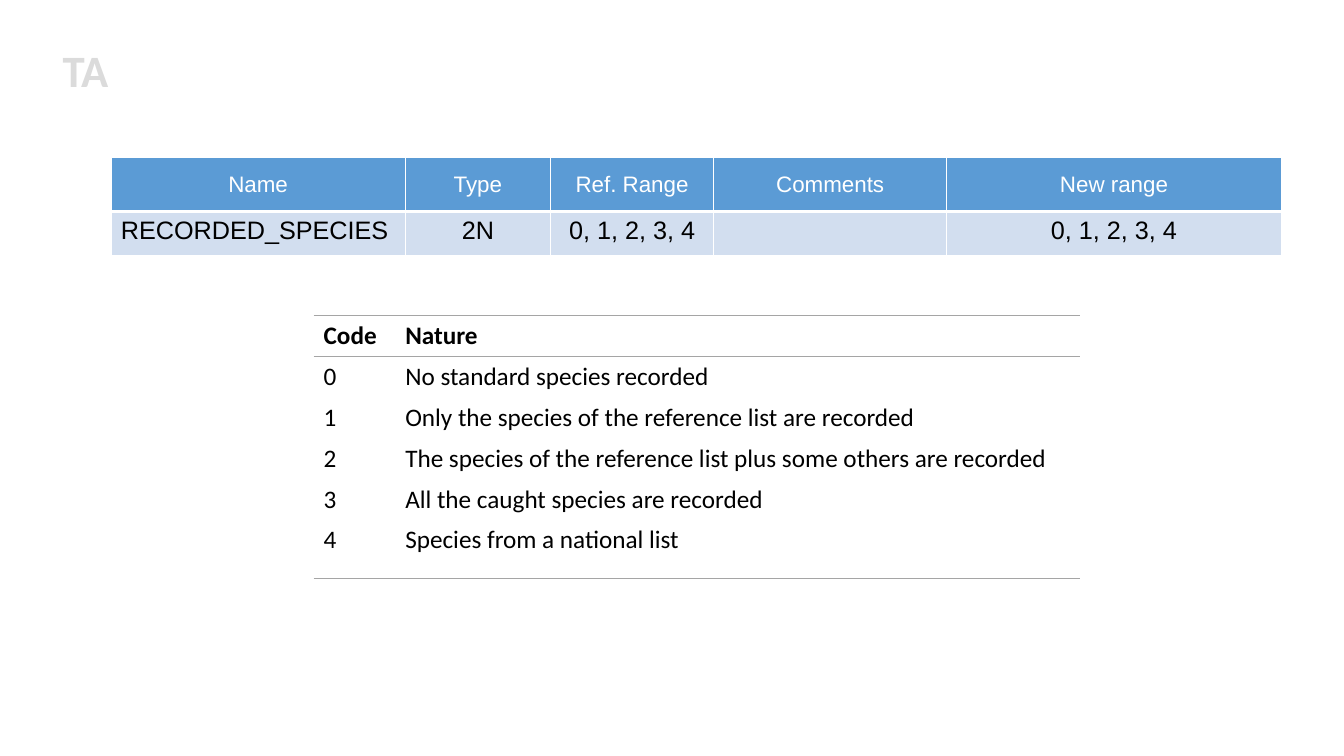
"""Build the slide with the recorded species field and its code list."""
import pptx
import pptx.dml.color
import pptx.enum.text
import pptx.oxml.ns
import pptx.util
from lxml import etree
from pptx.util import Inches, Pt

RGBColor = pptx.dml.color.RGBColor
PP_ALIGN = pptx.enum.text.PP_ALIGN
MSO_ANCHOR = pptx.enum.text.MSO_ANCHOR

WHITE = RGBColor(0xFF, 0xFF, 0xFF)
BLACK = RGBColor(0x00, 0x00, 0x00)
BLUE = RGBColor(0x5B, 0x9B, 0xD5)
PALE_BLUE = RGBColor(0xD2, 0xDE, 0xEF)
GRAY = RGBColor(0xA5, 0xA5, 0xA5)
LIGHT_GRAY = RGBColor(0xDB, 0xDB, 0xDB)

FIELD_ROWS = [
    ["Name", "Type", "Ref. Range", "Comments", "New range"],
    ["RECORDED_SPECIES", "2N", "0, 1, 2, 3, 4", "", "0, 1, 2, 3, 4"],
]
CODE_ROWS = [
    ["Code", "Nature"],
    ["0", "No standard species recorded"],
    ["1", "Only the species of the reference list are recorded"],
    ["2", "The species of the reference list plus some others are recorded"],
    ["3", "All the caught species are recorded"],
    ["4", "Species from a national list"],
]


def add_plain_table(slide, rows, left, top, widths, heights):
    frame = slide.shapes.add_table(
        len(rows), len(widths), Inches(left), Inches(top),
        Inches(sum(widths)), Inches(sum(heights)))
    table = frame.table
    table.first_row = False
    table.horz_banding = False
    for column, width in zip(table.columns, widths):
        column.width = Inches(width)
    for row, height, texts in zip(table.rows, heights, rows):
        row.height = Inches(height)
        for cell, text in zip(row.cells, texts):
            cell.text_frame.text = text
    return table


def format_cell(cell, font_name, size, color, bold, borders):
    for paragraph in cell.text_frame.paragraphs:
        for run in paragraph.runs:
            run.font.name = font_name
            run.font.size = Pt(size)
            run.font.color.rgb = color
            run.font.bold = bold
    qn = pptx.oxml.ns.qn
    properties = cell._tc.get_or_add_tcPr()
    for side in "LRTB":
        line = etree.SubElement(properties, qn(f"a:ln{side}"))
        if side in borders:
            line_color, width = borders[side]
            line.set("w", str(Pt(width)))
            fill = etree.SubElement(line, qn("a:solidFill"))
            etree.SubElement(fill, qn("a:srgbClr"), val=str(line_color))
        else:
            etree.SubElement(line, qn("a:noFill"))


presentation = pptx.Presentation()
presentation.slide_width = Inches(13.33)
presentation.slide_height = Inches(7.5)
slide = presentation.slides.add_slide(presentation.slide_layouts[5])

title = slide.shapes.title
title.left, title.top = Inches(0.52), Inches(0.37)
title.width, title.height = Inches(0.88), Inches(0.64)
title.text_frame.text = "TA"
title.text_frame.word_wrap = False
title.text_frame.auto_size = pptx.enum.text.MSO_AUTO_SIZE.NONE
title.text_frame.vertical_anchor = MSO_ANCHOR.TOP
title_paragraph = title.text_frame.paragraphs[0]
title_paragraph.alignment = PP_ALIGN.LEFT
title_font = title_paragraph.runs[0].font
title_font.name = "Calibri"
title_font.size = Pt(32)
title_font.bold = True
title_font.color.rgb = LIGHT_GRAY

field_table = add_plain_table(
    slide, FIELD_ROWS, 1.1, 1.56, [2.92, 1.44, 1.62, 2.31, 3.32], [0.54, 0.44])
for row_index, row in enumerate(field_table.rows):
    is_header = row_index == 0
    borders = {side: (WHITE, 1) for side in "LRTB"}
    borders["B" if is_header else "T"] = (WHITE, 3)
    for column_index, cell in enumerate(row.cells):
        format_cell(cell, "Arial", 16 if is_header else 18,
                    WHITE if is_header else BLACK, False, borders)
        cell.fill.solid()
        cell.fill.fore_color.rgb = BLUE if is_header else PALE_BLUE
        if is_header or column_index > 0:
            cell.text_frame.paragraphs[0].alignment = PP_ALIGN.CENTER
        if is_header:
            cell.vertical_anchor = MSO_ANCHOR.MIDDLE
            cell.margin_left = cell.margin_right = cell.margin_top = Inches(0.01)
            cell.margin_bottom = 0

code_table = add_plain_table(
    slide, CODE_ROWS, 3.11, 3.13, [0.81, 6.79], [0.405] * 5 + [0.58])
last_row = len(CODE_ROWS) - 1
for row_index, row in enumerate(code_table.rows):
    borders = {}
    if row_index <= 1:
        borders["T"] = (GRAY, 1)
    if row_index in (0, last_row):
        borders["B"] = (GRAY, 1)
    for cell in row.cells:
        format_cell(cell, "Calibri", 18, BLACK, row_index == 0, borders)
        cell.fill.background()

presentation.save("out.pptx")
